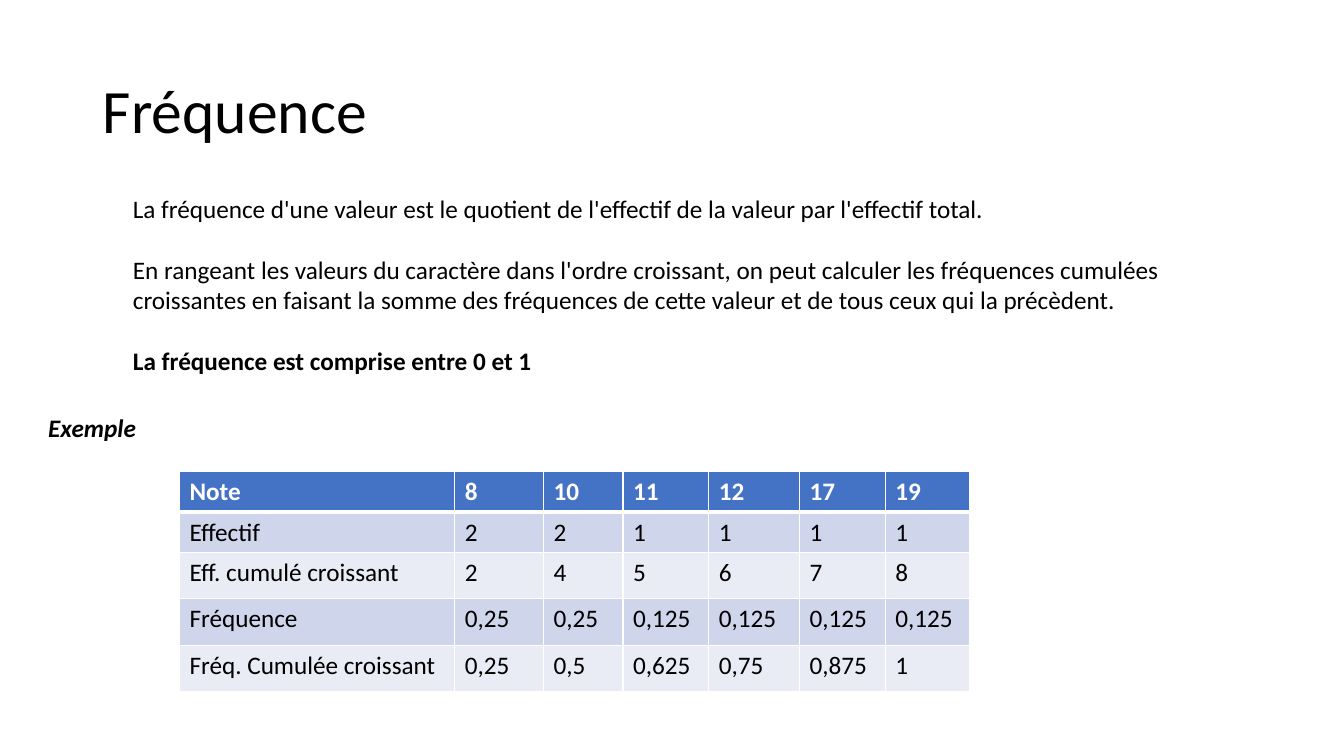
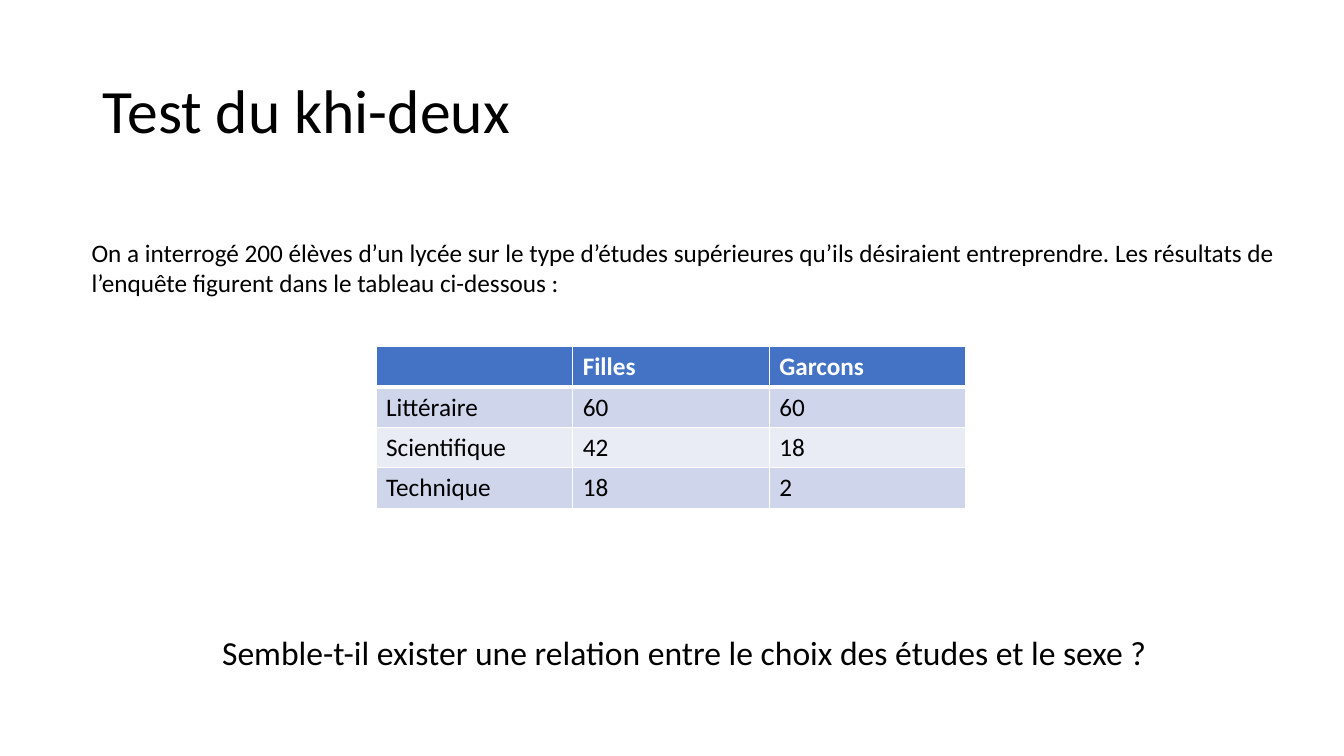
from lxml.etree import SubElement
from pptx import Presentation
from pptx.dml.color import RGBColor
from pptx.enum.text import MSO_ANCHOR, PP_ALIGN
from pptx.oxml.ns import qn
from pptx.util import Inches, Pt

FONT = "Calibri"
BLACK = RGBColor(0x00, 0x00, 0x00)
WHITE = RGBColor(0xFF, 0xFF, 0xFF)
HEADER_BLUE = RGBColor(0x44, 0x72, 0xC4)
BANDS = (RGBColor(0xCF, 0xD5, 0xEA), RGBColor(0xE9, 0xEB, 0xF5))
BODY_SIZE = 18
LINE_GAP = Pt(22)  # one line of body text

FREQUENCY_ROWS = [
    ["Note", "8", "10", "11", "12", "17", "19"],
    ["Effectif", "2", "2", "1", "1", "1", "1"],
    ["Eff. cumulé croissant", "2", "4", "5", "6", "7", "8"],
    ["Fréquence", "0,25", "0,25", "0,125", "0,125", "0,125", "0,125"],
    ["Fréq. Cumulée croissant", "0,25", "0,5", "0,625", "0,75", "0,875", "1"],
]
SURVEY_ROWS = [
    ["", "Filles", "Garcons"],
    ["Littéraire", "60", "60"],
    ["Scientifique", "42", "18"],
    ["Technique", "18", "2"],
]


def add_run(paragraph, text, size=BODY_SIZE, color=BLACK, bold=False, italic=False):
    run = paragraph.add_run()
    run.text = text
    font = run.font
    font.name, font.size, font.color.rgb = FONT, Pt(size), color
    font.bold, font.italic = bold, italic


def place_layout_title(layout):
    """Set the title position that both slides inherit."""
    title = layout.placeholders[0]
    title.left, title.top = Inches(0.92), Inches(0.4)
    title.width, title.height = Inches(11.5), Inches(1.45)


def add_titled_slide(prs, layout, text):
    slide = prs.slides.add_slide(layout)
    frame = slide.shapes.title.text_frame
    frame.vertical_anchor = MSO_ANCHOR.MIDDLE
    paragraph = frame.paragraphs[0]
    paragraph.alignment = PP_ALIGN.LEFT
    paragraph.line_spacing = 0.9
    add_run(paragraph, text, size=44)
    return slide


def add_text(slide, box, paragraphs, align=PP_ALIGN.LEFT):
    """Add a text box; each paragraph is a (text, run format) pair."""
    frame = slide.shapes.add_textbox(*map(Inches, box)).text_frame
    frame.word_wrap = True
    for index, (text, style) in enumerate(paragraphs):
        paragraph = frame.add_paragraph() if index else frame.paragraphs[0]
        paragraph.alignment = align
        if index:
            paragraph.space_before = LINE_GAP
        add_run(paragraph, text, **style)


def set_borders(cell, top, bottom):
    properties = cell._tc.get_or_add_tcPr()
    for side, width in (("L", 1), ("R", 1), ("T", top), ("B", bottom)):
        line = SubElement(properties, qn(f"a:ln{side}"), w=str(Pt(width)))
        SubElement(SubElement(line, qn("a:solidFill")), qn("a:srgbClr"), val=str(WHITE))


def add_banded_table(slide, left, top, widths, heights, rows):
    table = slide.shapes.add_table(
        len(rows), len(widths), Inches(left), Inches(top),
        Inches(sum(widths)), Inches(sum(heights))).table
    for column, width in zip(table.columns, widths):
        column.width = Inches(width)
    for r, (values, height) in enumerate(zip(rows, heights)):
        table.rows[r].height = Inches(height)
        is_header = r == 0
        for c, value in enumerate(values):
            cell = table.cell(r, c)
            set_borders(cell, top=3 if r == 1 else 1, bottom=3 if is_header else 1)
            cell.fill.solid()
            cell.fill.fore_color.rgb = HEADER_BLUE if is_header else BANDS[(r - 1) % 2]
            if value:
                add_run(cell.text_frame.paragraphs[0], value,
                        color=WHITE if is_header else BLACK, bold=is_header)


def build_frequency_slide(prs, layout):
    slide = add_titled_slide(prs, layout, "Fréquence")
    # Definitions
    add_text(slide, (1.22, 1.87, 10.9, 1.92), [
        ("La fréquence d'une valeur est le quotient de l'effectif de la valeur "
         "par l'effectif total.", {}),
        ("En rangeant les valeurs du caractère dans l'ordre croissant, on peut calculer "
         "les fréquences cumulées croissantes en faisant la somme des fréquences de cette "
         "valeur et de tous ceux qui la précèdent.", {}),
        ("La fréquence est comprise entre 0 et 1", {"bold": True}),
    ])
    # Worked example
    add_text(slide, (0.38, 4.04, 2.8, 0.4), [("Exemple", {"bold": True, "italic": True})])
    add_banded_table(slide, 1.78, 4.68, [2.73, 0.88, 0.79, 0.85, 0.9, 0.85, 0.84],
                     [0.4] * 2 + [0.46] * 3, FREQUENCY_ROWS)


def build_chi_square_slide(prs, layout):
    slide = add_titled_slide(prs, layout, "Test du khi-deux")
    # Survey and its results
    add_text(slide, (0.81, 2.3, 12.03, 0.71), [
        ("On a interrogé 200 élèves d’un lycée sur le type d’études supérieures qu’ils "
         "désiraient entreprendre. Les résultats de l’enquête figurent dans le tableau "
         "ci-dessous :", {}),
    ])
    add_banded_table(slide, 3.73, 3.44, [1.95] * 3, [0.4] * 4, SURVEY_ROWS)
    # Closing question
    add_text(slide, (0.81, 6.22, 12.03, 0.5), [
        ("Semble-t-il exister une relation entre le choix des études et le sexe ? ",
         {"size": 24}),
    ], align=PP_ALIGN.CENTER)


def main():
    prs = Presentation()
    prs.slide_width, prs.slide_height = Inches(13.33), Inches(7.5)
    layout = prs.slide_layouts[5]  # title only
    place_layout_title(layout)
    build_frequency_slide(prs, layout)
    build_chi_square_slide(prs, layout)
    prs.save("out.pptx")


if __name__ == "__main__":
    main()
